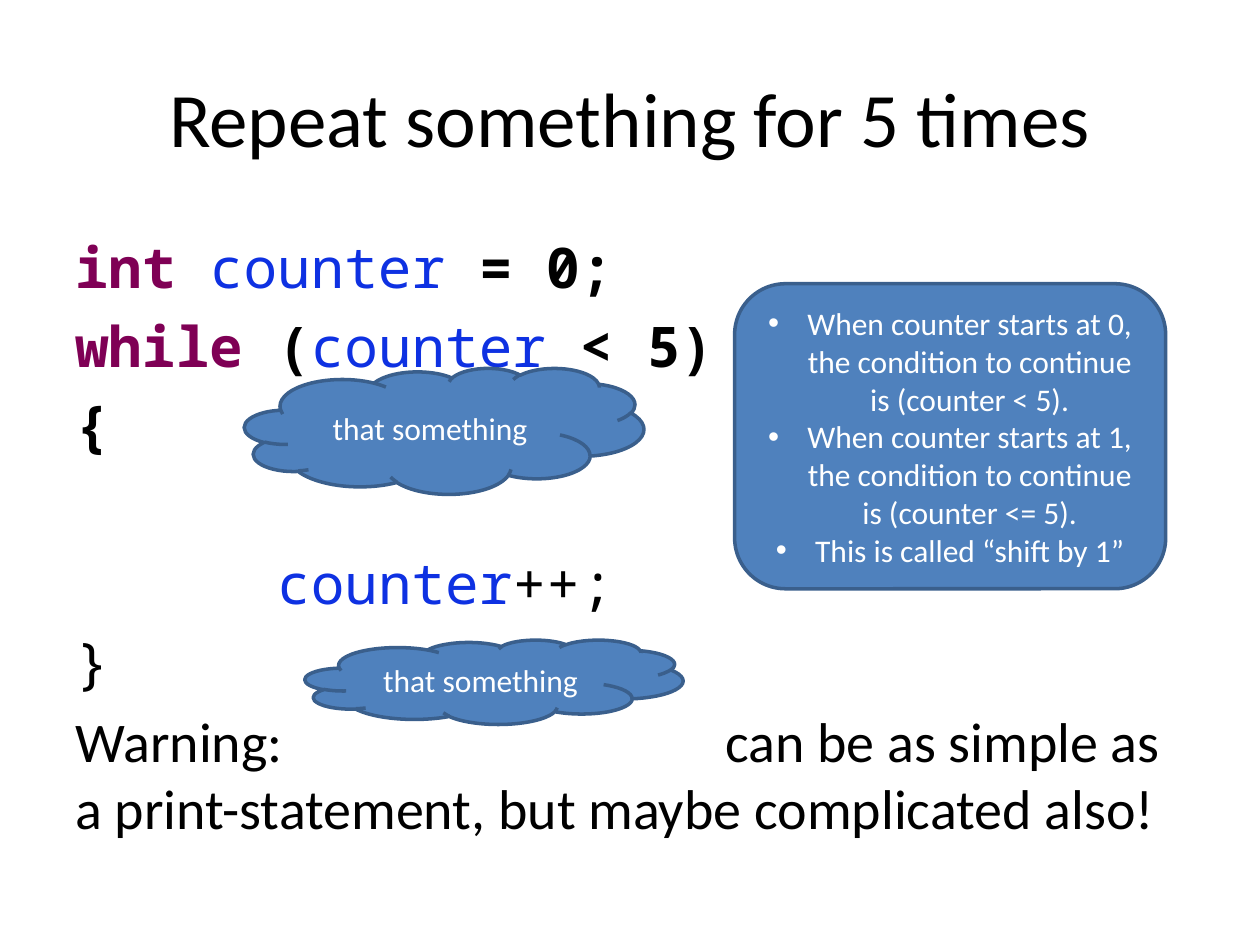
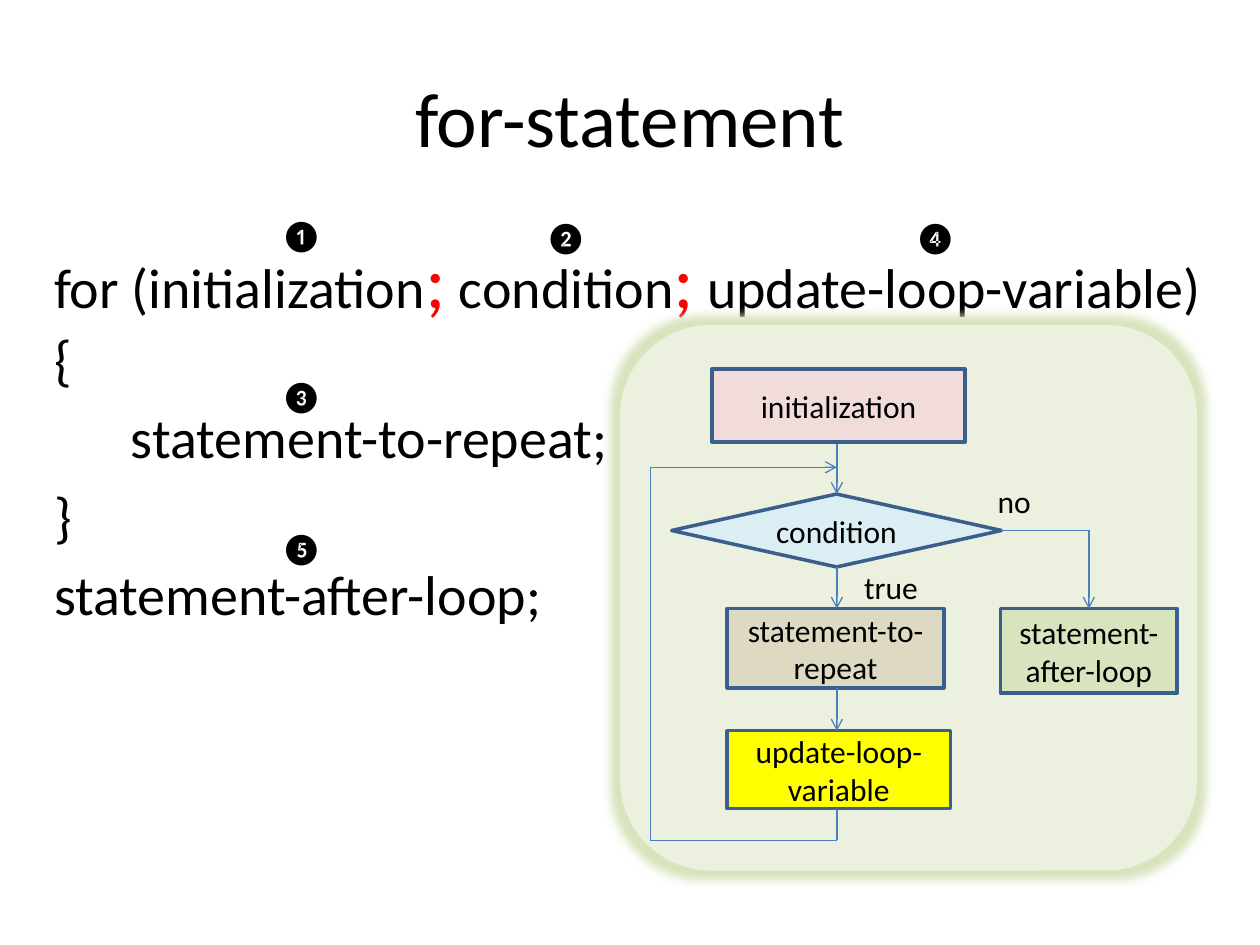
from dataclasses import dataclass

from lxml.etree import SubElement
from pptx import Presentation
from pptx.dml.color import RGBColor
from pptx.enum.shapes import MSO_CONNECTOR as Connector, MSO_SHAPE as Preset
from pptx.enum.text import MSO_ANCHOR as Anchor, PP_ALIGN as Align
from pptx.oxml.ns import qn
from pptx.util import Cm, Pt

TITLE_ONLY = 5


@dataclass(frozen=True)
class Theme:
    # Colours
    black: str = "000000"
    white: str = "FFFFFF"
    blue: str = "4F81BD"
    outline: str = "3A5F8C"
    arrow: str = "4B7EBC"
    keyword: str = "7F0055"
    variable: str = "0E31E2"
    separator: str = "FF0000"
    panel: str = "EBF1DE"
    green: str = "D7E4BD"
    pink: str = "F2DCDB"
    ice: str = "DBEEF4"
    sand: str = "DDD9C3"
    yellow: str = "FFFF00"
    # Type
    font: str = "Calibri"
    code_font: str = "Noto Sans Mono"
    title_size: int = 44
    body_size: int = 32
    label_size: int = 18
    body_gap: float = 6.4
    code_line: float = 38.8


THEME = Theme()


class Deck:
    def __init__(self, theme):
        self.theme = theme
        self.presentation = Presentation()
        self.presentation.slide_width = Cm(25.4)
        self.presentation.slide_height = Cm(19.05)
        self.slide = None

    def format(self, font, size, color=None, bold=False, name=None):
        font.name = name or self.theme.font
        font.size = Pt(size)
        font.bold = bold
        font.color.rgb = RGBColor.from_string(color or self.theme.black)

    def new_slide(self, title):
        layout = self.presentation.slide_layouts[TITLE_ONLY]
        self.slide = self.presentation.slides.add_slide(layout)
        shape = self.slide.shapes.title
        shape.left, shape.top = Cm(1.27), Cm(0.76)
        shape.width, shape.height = Cm(22.86), Cm(3.18)
        frame = shape.text_frame
        frame.text = title
        frame.vertical_anchor = Anchor.MIDDLE
        frame.paragraphs[0].alignment = Align.CENTER
        self.format(frame.paragraphs[0].runs[0].font, self.theme.title_size)

    def text_box(self, left, top, width, height):
        shape = self.slide.shapes.add_textbox(Cm(left), Cm(top), Cm(width), Cm(height))
        shape.text_frame.word_wrap = True
        return shape.text_frame

    def label(self, text, left, top, width):
        frame = self.text_box(left, top, width, 1.02)
        frame.text = text
        self.format(frame.paragraphs[0].runs[0].font, self.theme.label_size)

    def body(self, left, width, lines):
        """Each line is a list of (text, font settings) pairs."""
        frame = self.text_box(left, 4.55, width, 12.5)
        for index, line in enumerate(lines):
            paragraph = frame.add_paragraph() if index else frame.paragraphs[0]
            paragraph.space_before = Pt(self.theme.body_gap if index else 0)
            for text, settings in line:
                run = paragraph.add_run()
                run.text = text
                self.format(run.font, **{"size": self.theme.body_size, **settings})
        return frame.paragraphs

    def shape(self, preset, box, fill, text=None, color=None, outlined=True, bullets=False):
        shape = self.slide.shapes.add_shape(preset, *map(Cm, box))
        shape.shadow.inherit = False
        shape.fill.solid()
        shape.fill.fore_color.rgb = RGBColor.from_string(fill)
        if outlined:
            shape.line.color.rgb = RGBColor.from_string(self.theme.outline)
            shape.line.width = Pt(2)
        else:
            shape.line.fill.background()
        if text:
            frame = shape.text_frame
            frame.text = text
            frame.word_wrap = True
            frame.vertical_anchor = Anchor.MIDDLE
            for paragraph in frame.paragraphs:
                paragraph.alignment = Align.CENTER
                if bullets:
                    self.add_bullet(paragraph)
                self.format(paragraph.runs[0].font, self.theme.label_size, color)
        return shape

    def add_bullet(self, paragraph):
        properties = paragraph._p.get_or_add_pPr()
        properties.set("marL", str(Cm(0.79)))
        properties.set("indent", str(-Cm(0.79)))
        SubElement(properties, qn("a:buFont")).set("typeface", "Arial")
        SubElement(properties, qn("a:buChar")).set("char", "•")

    def add_glow(self, shape, color, radius):
        effects = shape._element.spPr.find(qn("a:effectLst"))
        glow = SubElement(effects, qn("a:glow"), rad=str(Pt(radius)))
        SubElement(glow, qn("a:srgbClr"), val=color)

    def route(self, *points):
        """Straight segments through the points, with an arrowhead at the end."""
        for start, end in zip(points, points[1:]):
            line = self.slide.shapes.add_connector(Connector.STRAIGHT, *map(Cm, start + end))
            line.line.color.rgb = RGBColor.from_string(self.theme.arrow)
            line.line.width = Pt(0.75)
            SubElement(line._element.spPr, qn("a:effectLst"))
        SubElement(line.line._get_or_add_ln(), qn("a:tailEnd"), type="arrow")


def build_repeat_slide(deck):
    theme = deck.theme
    deck.new_slide("Repeat something for 5 times")

    # Code and warning
    plain = {"name": theme.code_font}
    strong = {**plain, "bold": True}
    keyword = {**strong, "color": theme.keyword}
    variable = {**plain, "color": theme.variable}
    paragraphs = deck.body(1.27, 22.86, [
        [("int ", keyword), ("counter", variable), (" = 0;", strong)],
        [("while", keyword), (" (", strong), ("counter", variable), (" < 5)", strong)],
        [("{", strong)],
        [("      ", plain), ("counter", variable), ("++;", plain)],
        [("}", plain)],
        [("Warning:\tcan be as simple as a print-statement, "
          "but maybe complicated also!", {})],
    ])
    *code, warning = paragraphs
    for paragraph in code:
        paragraph.line_spacing = Pt(theme.code_line)
    # Room for the cloud inside the loop
    code[3].space_before = Pt(2 * theme.body_gap + theme.code_line)
    tabs = SubElement(warning._p.get_or_add_pPr(), qn("a:tabLst"))
    SubElement(tabs, qn("a:tab"), pos=str(Cm(13.1)), algn="l")

    # Clouds and note
    for cloud_box in ((4.93, 7.42, 8.05, 2.54), (6.15, 12.9, 7.62, 1.7)):
        deck.shape(Preset.CLOUD, cloud_box, theme.blue, "that something", theme.white)
    note = "\n".join((
        "When counter starts at 0, the condition to continue is (counter < 5).",
        "When counter starts at 1, the condition to continue is (counter <= 5).",
        "This is called “shift by 1”",
    ))
    deck.shape(Preset.ROUNDED_RECTANGLE, (14.81, 5.72, 8.69, 6.15), theme.blue,
               note, theme.white, bullets=True)


def build_for_slide(deck):
    theme = deck.theme
    deck.new_slide("for-statement")

    # Syntax
    separator = (";", {"size": theme.title_size, "color": theme.separator})
    paragraphs = deck.body(0.84, 23.71, [
        [("for (initialization", {}), separator, (" condition", {}), separator,
         (" update-loop-variable) {", {})],
        [("statement-to-repeat;", {})],
        [("}", {})],
        [("statement-after-loop;", {})],
    ])
    paragraphs[1]._p.get_or_add_pPr().set("marL", str(Cm(1.55)))

    # Flowchart panel and steps
    panel = deck.shape(Preset.ROUNDED_RECTANGLE, (12.5, 6.55, 11.63, 11),
                       theme.panel, outlined=False)
    deck.add_glow(panel, theme.green, 10)
    steps = [
        (Preset.RECTANGLE, (14.35, 7.44, 5.11, 1.47), theme.pink, "initialization"),
        (Preset.DIAMOND, (13.54, 9.96, 6.65, 1.47), theme.ice, "condition"),
        (Preset.RECTANGLE, (20.17, 12.27, 3.56, 1.7), theme.green, "statement-after-loop"),
        (Preset.RECTANGLE, (14.66, 12.27, 4.37, 1.6), theme.sand, "statement-to-repeat"),
        (Preset.RECTANGLE, (14.66, 14.73, 4.5, 1.57), theme.yellow, "update-loop-variable"),
    ]
    for step in steps:
        deck.shape(*step)

    # Flow: downwards, back to the condition, and out of the loop
    axis, back = 16.87, 13.11
    for top, bottom in ((8.96, 9.96), (11.43, 12.27), (13.87, 14.73)):
        deck.route((axis, top), (axis, bottom))
    deck.route((axis, 16.3), (axis, 16.94), (back, 16.94), (back, 9.42), (axis, 9.42))
    deck.route((20.17, 10.69), (21.95, 10.69), (21.95, 12.27))
    deck.label("true", 17.17, 11.33, 1.98)
    deck.label("no", 19.86, 9.6, 1.42)

    # Order of execution
    markers = [("❶", 5.41, 4.24), ("❷", 10.74, 4.27), ("❸", 5.41, 7.47),
               ("❹", 18.19, 4.27), ("❺", 5.41, 10.54)]
    for number, left, top in markers:
        deck.label(number, left, top, 1.37)


def main():
    deck = Deck(THEME)
    build_repeat_slide(deck)
    build_for_slide(deck)
    deck.presentation.save("out.pptx")


if __name__ == "__main__":
    main()
